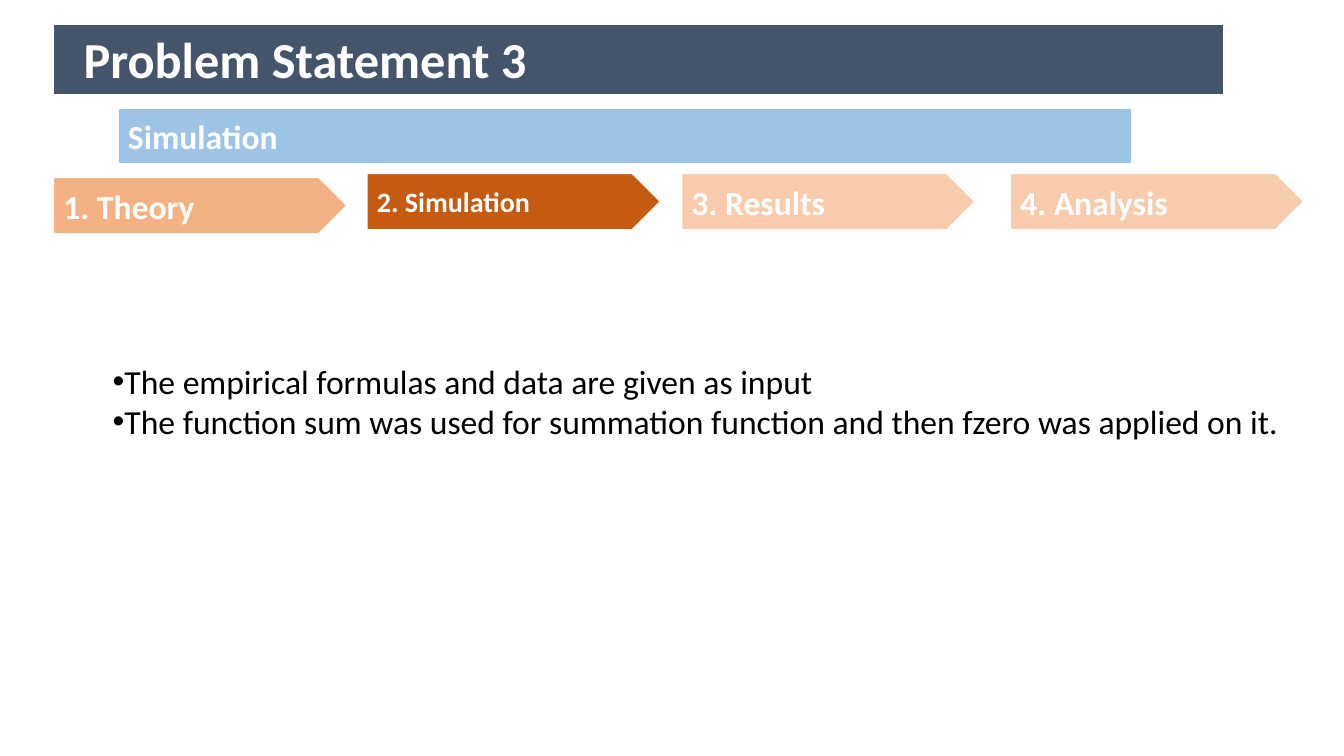
from lxml.etree import SubElement
from pptx import Presentation
from pptx.dml.color import RGBColor
from pptx.enum.shapes import MSO_SHAPE as Shape
from pptx.enum.text import MSO_ANCHOR as Anchor, MSO_AUTO_SIZE as AutoSize, PP_ALIGN as Align
from pptx.oxml.ns import qn
from pptx.util import Inches, Pt


def style_text(para, text, size, color, bold=False):
    para.text = text
    para.alignment = Align.LEFT
    para.font.name = "Calibri"
    para.font.size = Pt(size)
    para.font.bold = bold
    para.font.color.rgb = RGBColor.from_string(color)


def add_block(kind, left, top, width, height, fill):
    block = page.shapes.add_shape(
        kind, Inches(left), Inches(top), Inches(width), Inches(height))
    block.shadow.inherit = False
    block.fill.solid()
    block.fill.fore_color.rgb = RGBColor.from_string(fill)
    block.line.color.rgb = RGBColor.from_string("FFFFFF")
    block.line.width = Pt(1)
    block.text_frame.vertical_anchor = Anchor.MIDDLE
    return block


deck = Presentation()
deck.slide_width = Inches(13.33)
deck.slide_height = Inches(7.5)
page = deck.slides.add_slide(deck.slide_layouts[6])

# Title bar
add_block(Shape.RECTANGLE, 0.53, 0.24, 11.61, 0.7, "44546A")
title = page.shapes.add_textbox(Inches(0.73), Inches(0.23), Inches(7.69), Inches(0.71))
title.text_frame.word_wrap = True
title.text_frame.auto_size = AutoSize.SHAPE_TO_FIT_TEXT
style_text(title.text_frame.paragraphs[0], "Problem Statement 3", 36, "FFFFFF", True)

# Step arrows, with the current step darkest
steps = [
    ("1. Theory", 0.53, 1.76, "F4B183", 24),
    ("2. Simulation", 3.64, 1.72, "C55A11", 20),
    ("3. Results", 6.76, 1.72, "F8CBAD", 24),
    ("4. Analysis", 10.02, 1.72, "F8CBAD", 24),
]
for label, left, top, fill, size in steps:
    arrow = add_block(Shape.PENTAGON, left, top, 2.91, 0.56, fill)
    style_text(arrow.text_frame.paragraphs[0], label, size, "FFFFFF", True)

# Section bar
section = add_block(Shape.RECTANGLE, 1.17, 1.07, 10.05, 0.55, "9DC3E6")
style_text(section.text_frame.paragraphs[0], "Simulation", 24, "FFFFFF", True)

# Bullet list
points = [
    "The empirical formulas and data are given as input",
    "The function sum was used for summation function and then fzero was applied on it.",
]
body = page.shapes.add_textbox(Inches(1.02), Inches(3.53), Inches(11.87), Inches(0.91))
frame = body.text_frame
frame.word_wrap = False
frame.auto_size = AutoSize.SHAPE_TO_FIT_TEXT
for index, point in enumerate(points):
    para = frame.add_paragraph() if index else frame.paragraphs[0]
    style_text(para, point, 24, "000000")
    properties = para._p.get_or_add_pPr()
    bullet_font = SubElement(properties, qn("a:buFont"), typeface="Arial")
    bullet = SubElement(properties, qn("a:buChar"), char="•")
    # Bullet marks come before the default run properties
    properties.insert(0, bullet_font)
    properties.insert(1, bullet)

deck.save("out.pptx")
